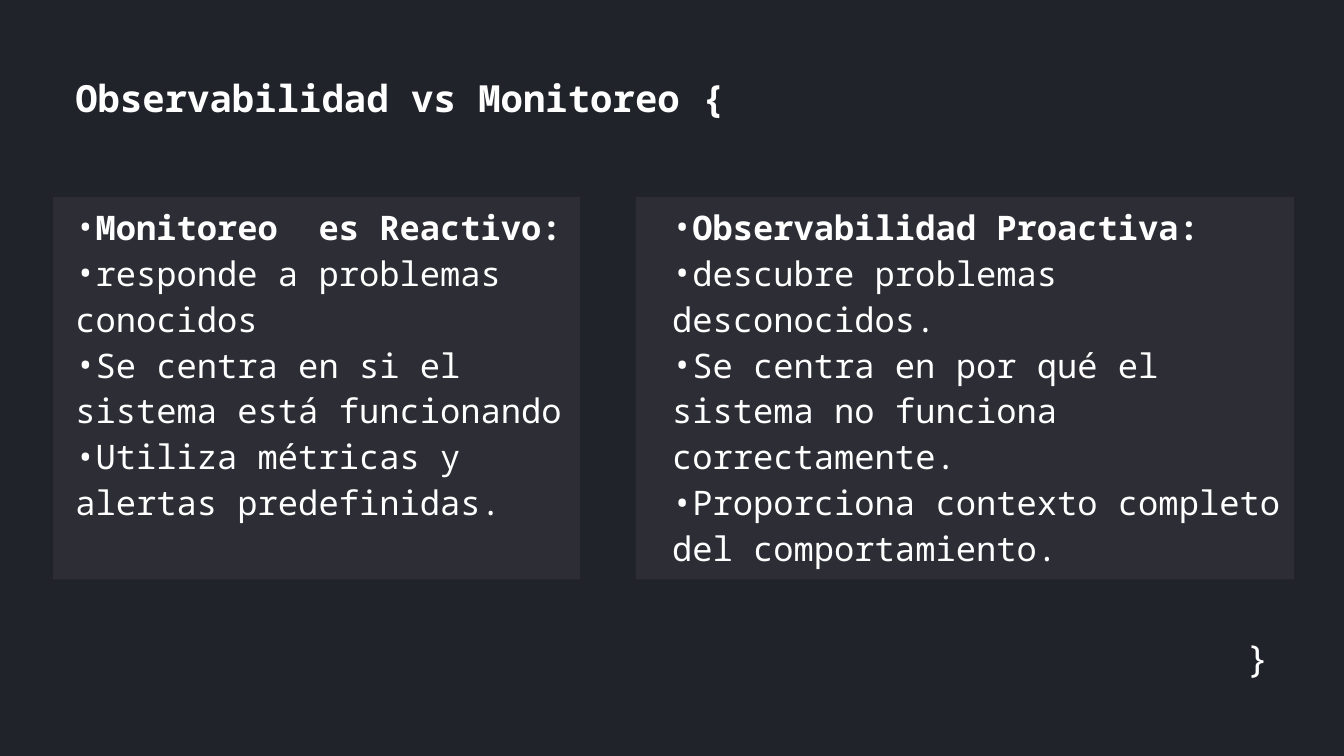
"""Build a slide that compares monitoring with observability in two panels."""
import dataclasses

import lxml.etree
import pptx
import pptx.dml.color
import pptx.enum.shapes
import pptx.enum.text
import pptx.oxml.ns
import pptx.util


@dataclasses.dataclass(frozen=True)
class Theme:
    font: str = "Noto Sans Mono"
    background: str = "20232A"
    panel: str = "2D2D35"
    text: str = "FFFFFF"
    title_size: float = 40
    title_line: float = 45.6
    body_size: float = 36.2
    body_line: float = 49.2


theme = Theme()
presentation = pptx.Presentation()
presentation.slide_width = pptx.util.Inches(20)
presentation.slide_height = pptx.util.Inches(11.25)
COLUMN = presentation.slide_width / 100
ROW = presentation.slide_height / 100


def place(left, top, width, height):
    return [round(length) for length in (left * COLUMN, top * ROW, width * COLUMN, height * ROW)]


def write(shape, lines, box, size=theme.title_size, line=theme.title_line,
          bold_first=False, bullet=None, align=pptx.enum.text.PP_ALIGN.LEFT):
    shape.left, shape.top, shape.width, shape.height = place(*box)
    frame = shape.text_frame
    frame.margin_left = frame.margin_top = frame.margin_right = frame.margin_bottom = 0
    frame.word_wrap = True
    frame.auto_size = pptx.enum.text.MSO_AUTO_SIZE.NONE
    frame.vertical_anchor = pptx.enum.text.MSO_ANCHOR.TOP
    frame.text = "\n".join(lines)
    for index, paragraph in enumerate(frame.paragraphs):
        paragraph.alignment = align
        paragraph.line_spacing = pptx.util.Pt(line)
        paragraph.space_before = pptx.util.Pt(0)
        if bullet:
            properties = paragraph._p.get_or_add_pPr()
            properties.set("marL", "0")
            properties.set("indent", "0")
            for tag, name, value in (("a:buFont", "typeface", theme.font), ("a:buChar", "char", bullet)):
                lxml.etree.SubElement(properties, pptx.oxml.ns.qn(tag)).set(name, value)
        font = paragraph.runs[0].font
        font.name = theme.font
        font.size = pptx.util.Pt(size)
        font.bold = bold_first and index == 0
        font.color.rgb = pptx.dml.color.RGBColor.from_string(theme.text)


slide = presentation.slides.add_slide(presentation.slide_layouts.get_by_name("Two Content"))
slide.background.fill.solid()
slide.background.fill.fore_color.rgb = pptx.dml.color.RGBColor.from_string(theme.background)

write(slide.shapes.title, ["Observabilidad vs Monitoreo {"], (5.6, 10.2, 51.5, 5.7), bold_first=True)

comparison = [
    (1, (3.95, 39.2), (5.6, 37.25), [
        "Monitoreo  es Reactivo:",
        "responde a problemas conocidos",
        "Se centra en si el sistema está funcionando",
        "Utiliza métricas y alertas predefinidas.",
    ]),
    (2, (47.3, 49), (50, 46), [
        "Observabilidad Proactiva:",
        "descubre problemas desconocidos.",
        "Se centra en por qué el sistema no funciona correctamente.",
        "Proporciona contexto completo del comportamiento.",
    ]),
]
for placeholder_index, (panel_left, panel_width), (text_left, text_width), lines in comparison:
    body = slide.placeholders[placeholder_index]
    panel = slide.shapes.add_shape(
        pptx.enum.shapes.MSO_SHAPE.RECTANGLE, *place(panel_left, 26.05, panel_width, 50.6))
    panel.shadow.inherit = False
    panel.fill.solid()
    panel.fill.fore_color.rgb = pptx.dml.color.RGBColor.from_string(theme.panel)
    panel.line.fill.background()
    body.element.addprevious(panel.element)
    write(body, lines, (text_left, 26.6, text_width, 50), size=theme.body_size,
          line=theme.body_line, bold_first=True, bullet="•")

closing_box = (90.55, 84.35, 3.85, 5.7)
closing_brace = slide.shapes.add_textbox(*place(*closing_box))
write(closing_brace, ["}"], closing_box, align=pptx.enum.text.PP_ALIGN.RIGHT)

presentation.save("out.pptx")
